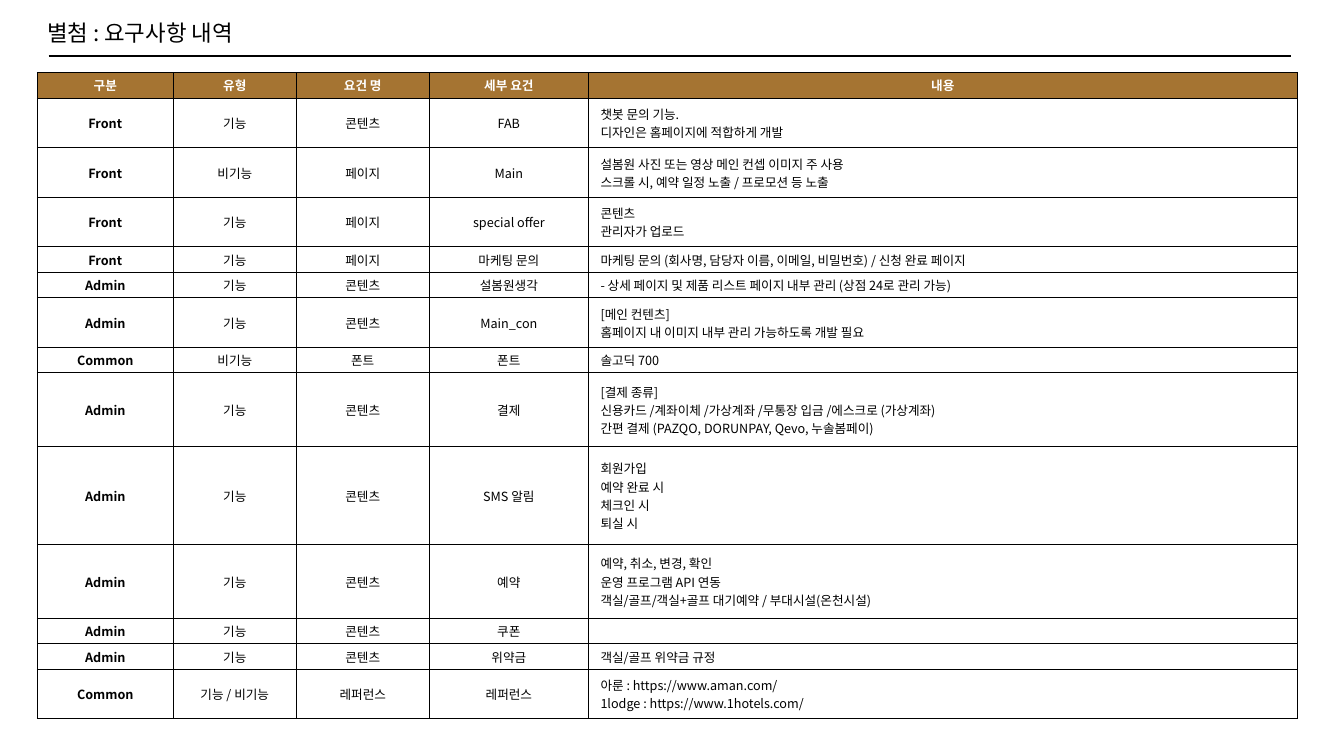
from lxml import etree
from pptx import Presentation
from pptx.dml.color import RGBColor
from pptx.enum import shapes, text
from pptx.oxml import ns
from pptx.util import Pt

FONT = "Noto Sans CJK KR"
BLACK, WHITE, BROWN = "000000", "FFFFFF", "A57432"
COL_WIDTHS = [97.2, 87.8, 95, 113.8, 506.2]
LINE_STEP, ROW_EXTRA = 17.3, 0.85
HEADER = ["구분", "유형", "요건 명", "세부 요건", "내용"]
REQUIREMENTS = [
    ["Front", "기능", "콘텐츠", "FAB", "챗봇 문의 기능.\n디자인은 홈페이지에 적합하게 개발"],
    ["Front", "비기능", "페이지", "Main",
     "설봄원 사진 또는 영상 메인 컨셉 이미지 주 사용\n스크롤 시, 예약 일정 노출 / 프로모션 등 노출"],
    ["Front", "기능", "페이지", "special offer", "콘텐츠\n관리자가 업로드"],
    ["Front", "기능", "페이지", "마케팅 문의",
     "마케팅 문의 (회사명, 담당자 이름, 이메일, 비밀번호) / 신청 완료 페이지"],
    ["Admin", "기능", "콘텐츠", "설봄원생각",
     "- 상세 페이지 및 제품 리스트 페이지 내부 관리 (상점 24로 관리 가능)"],
    ["Admin", "기능", "콘텐츠", "Main_con",
     "[메인 컨텐츠]\n홈페이지 내 이미지 내부 관리 가능하도록 개발 필요"],
    ["Common", "비기능", "폰트", "폰트", "솔고딕 700"],
    ["Admin", "기능", "콘텐츠", "결제",
     "[결제 종류]\n신용카드 /계좌이체 /가상계좌 /무통장 입금 /에스크로 (가상계좌)\n"
     "간편 결제 (PAZQO, DORUNPAY, Qevo, 누솔봄페이)"],
    ["Admin", "기능", "콘텐츠", "SMS 알림", "회원가입\n예약 완료 시\n체크인 시\n퇴실 시"],
    ["Admin", "기능", "콘텐츠", "예약",
     "예약, 취소, 변경, 확인\n운영 프로그램 API 연동\n객실/골프/객실+골프 대기예약 / 부대시설(온천시설)"],
    ["Admin", "기능", "콘텐츠", "쿠폰", ""],
    ["Admin", "기능", "콘텐츠", "위약금", "객실/골프 위약금 규정"],
    ["Common", "기능 / 비기능", "레퍼런스", "레퍼런스",
     "아룬 : https://www.aman.com/\n1lodge : https://www.1hotels.com/"],
]


def rgb(color):
    return RGBColor.from_string(color)


def add_run(p, content, size, color, bold=False):
    r = p.add_run()
    r.text = content
    r.font.size = Pt(size)
    r.font.name = FONT
    r.font.bold = bold
    r.font.color.rgb = rgb(color)
    ea = etree.Element(ns.qn("a:ea"), typeface=FONT)
    r.font._element.find(ns.qn("a:latin")).addnext(ea)


def add_lines(p, content, size, color, bold=False):
    for i, line in enumerate(content.split("\n")):
        if i:
            br = p._p.add_br()
            etree.SubElement(br, ns.qn("a:rPr"), sz=str(size * 100))
        if line:
            add_run(p, line, size, color, bold)
    p._p.get_or_add_endParaRPr().set("sz", str(size * 100))


def add_rule(slide, x1, x2, y):
    line = slide.shapes.add_connector(
        shapes.MSO_CONNECTOR.STRAIGHT, Pt(x1), Pt(y), Pt(x2), Pt(y))
    line.line.color.rgb = rgb(BLACK)
    line.line.width = Pt(1.5)
    etree.SubElement(line._element.spPr, ns.qn("a:effectLst"))


def add_title(slide, content):
    sp = slide.shapes.add_textbox(Pt(26.6), Pt(10.1), Pt(161.3), Pt(26.6))
    tf = sp.text_frame
    tf.word_wrap = False
    tf.auto_size = text.MSO_AUTO_SIZE.SHAPE_TO_FIT_TEXT
    add_run(tf.paragraphs[0], content, 16, BLACK)


def set_borders(cell):
    tc_pr = cell._tc.get_or_add_tcPr()
    for i, side in enumerate(["lnL", "lnR", "lnT", "lnB"]):
        ln = etree.Element(ns.qn("a:" + side), w=str(Pt(0.5)))
        fill = etree.SubElement(ln, ns.qn("a:solidFill"))
        etree.SubElement(fill, ns.qn("a:srgbClr"), val=BLACK)
        tc_pr.insert(i, ln)


def fill_cell(cell, content, is_header, col):
    is_detail = col == len(HEADER) - 1 and not is_header
    inset = 0 if is_header else 0.7
    cell.margin_left = Pt(8.6 if is_detail else inset)
    cell.margin_right = cell.margin_top = Pt(inset)
    cell.margin_bottom = Pt(0)
    cell.vertical_anchor = text.MSO_ANCHOR.MIDDLE
    if is_header:
        cell.fill.solid()
        cell.fill.fore_color.rgb = rgb(BROWN)
    else:
        cell.fill.background()
    set_borders(cell)
    p = cell.text_frame.paragraphs[0]
    p.alignment = text.PP_ALIGN.LEFT if is_detail else text.PP_ALIGN.CENTER
    add_lines(p, content, 9, WHITE if is_header else BLACK, is_header or col == 0)


def add_requirements(slide, rows):
    heights = [LINE_STEP * (row[-1].count("\n") + 1) + ROW_EXTRA for row in rows]
    frame = slide.shapes.add_table(
        len(rows), len(COL_WIDTHS), Pt(26.6), Pt(51.8),
        Pt(sum(COL_WIDTHS)), Pt(sum(heights)))
    table = frame.table
    table.first_row = table.horz_banding = False
    for column, width in zip(table.columns, COL_WIDTHS):
        column.width = Pt(width)
    for i, row in enumerate(rows):
        table.rows[i].height = Pt(heights[i])
        for j, content in enumerate(row):
            fill_cell(table.cell(i, j), content, i == 0, j)


def main():
    prs = Presentation()
    prs.slide_width, prs.slide_height = Pt(960), Pt(540)
    slide = prs.slides.add_slide(prs.slide_layouts[6])
    add_rule(slide, 34.8, 922.2, 40.1)
    add_title(slide, "별첨 : 요구사항 내역")
    add_requirements(slide, [HEADER] + REQUIREMENTS)
    prs.save("out.pptx")


if __name__ == "__main__":
    main()
